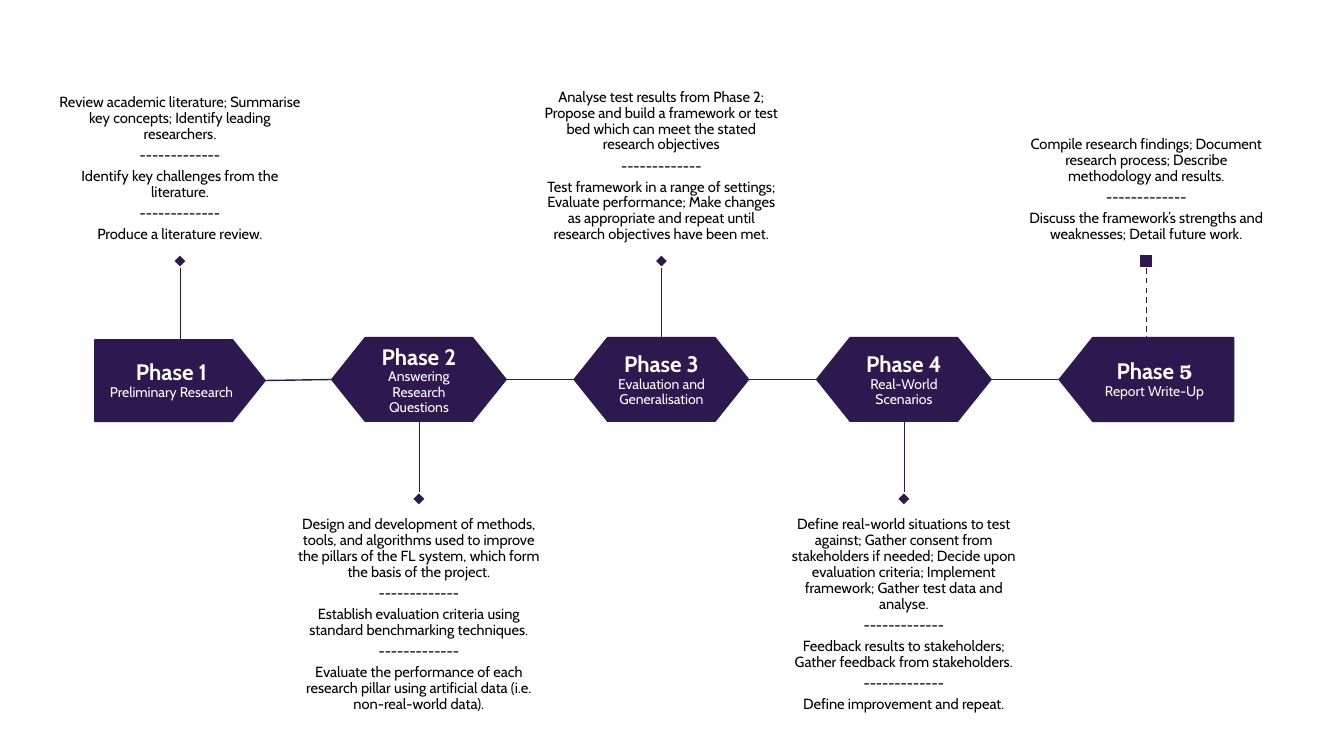
"""Build a five-phase research timeline slide."""
from dataclasses import dataclass
from itertools import pairwise

from lxml import etree
from pptx import Presentation
from pptx.dml.color import RGBColor
from pptx.enum.dml import MSO_LINE
from pptx.enum.shapes import MSO_CONNECTOR, MSO_SHAPE
from pptx.enum.text import MSO_ANCHOR, PP_ALIGN
from pptx.oxml.ns import qn
from pptx.util import Inches, Pt

STRAIGHT = MSO_CONNECTOR.STRAIGHT
DASH = MSO_LINE.DASH
PENTAGON, HEXAGON = MSO_SHAPE.PENTAGON, MSO_SHAPE.HEXAGON
DIAMOND, SQUARE = MSO_SHAPE.DIAMOND, MSO_SHAPE.RECTANGLE
TOP, MIDDLE, BOTTOM = MSO_ANCHOR.TOP, MSO_ANCHOR.MIDDLE, MSO_ANCHOR.BOTTOM
CENTER = PP_ALIGN.CENTER


@dataclass(frozen=True)
class TextStyle:
    """Look of a run of text."""
    size: float
    color: RGBColor
    bold: bool = False
    font: str = "Cabin"


@dataclass(frozen=True)
class Theme:
    """Colours and type of the slide."""
    purple: RGBColor = RGBColor(0x2D, 0x18, 0x4F)
    white: RGBColor = RGBColor(0xFF, 0xFF, 0xFF)
    title: TextStyle = TextStyle(16, white, True)
    serif_number: TextStyle = TextStyle(14, white, True, "TeX Gyre Bonum")
    subtitle: TextStyle = TextStyle(10, white)
    detail: TextStyle = TextStyle(10.5, RGBColor(0, 0, 0))
    space_after: float = 3.7
    line_spacing: float = 0.9


@dataclass(frozen=True)
class Box:
    """A rectangle in inches."""
    left: float
    top: float
    width: float
    height: float

    @property
    def right(self) -> float:
        """Return the right edge."""
        return self.left + self.width

    @property
    def bottom(self) -> float:
        """Return the bottom edge."""
        return self.top + self.height

    @property
    def center(self) -> float:
        """Return the horizontal centre."""
        return self.left + self.width / 2

    @property
    def middle(self) -> float:
        """Return the vertical centre."""
        return self.top + self.height / 2

    def lengths(self) -> tuple:
        """Return the four lengths for a shape call."""
        return tuple(map(Inches, (self.left, self.top, self.width, self.height)))


@dataclass(frozen=True)
class Phase:
    """One step of the timeline."""
    subtitle: str
    details: tuple[str, ...]
    block: Box
    label: Box
    above: bool
    block_shape: int = HEXAGON
    rotation: int = 0
    marker_shape: int = DIAMOND
    stem_width: float = 0.25
    stem_dash: int | None = None
    number_style: TextStyle = Theme.title


THEME = Theme()
SEPARATOR = "-------------"
MARKER_SIZE = 0.14
DETAIL_WIDTH, DETAIL_HEIGHT = 2.4, 2.23
UPPER_DETAIL_TOP, LOWER_DETAIL_TOP = 0.29, 5.02
UPPER_MARKER_TOP, LOWER_MARKER_TOP = 2.52, 4.88


def block_box(index: int) -> Box:
    """Place a block after the first on the regular pitch."""
    return Box(3.29 + 2.405 * (index - 1), 3.35, 1.73, 0.83)


def hexagon_label(index: int) -> Box:
    """Place the label inside a hexagon block."""
    return Box(block_box(index).left + 0.255, 3.48, 1.22, 0.59)


PHASES = (
    Phase("Preliminary Research", (
        "Review academic literature; Summarise key concepts; Identify leading researchers.",
        "Identify key challenges from the literature.",
        "Produce a literature review."),
        Box(0.94, 3.37, 1.69, 0.81), Box(0.94, 3.37, 1.52, 0.81), True, PENTAGON),
    Phase("Answering Research Questions", (
        "Design and development of methods, tools, and algorithms used to improve "
        "the pillars of the FL system, which form the basis of the project.",
        "Establish evaluation criteria using standard benchmarking techniques.",
        "Evaluate the performance of each research pillar using artificial data "
        "(i.e. non-real-world data)."),
        block_box(1), hexagon_label(1), False),
    Phase("Evaluation and Generalisation", (
        "Analyse test results from Phase 2; Propose and build a framework or test bed "
        "which can meet the stated research objectives",
        "Test framework in a range of settings; Evaluate performance; Make changes as "
        "appropriate and repeat until research objectives have been met."),
        block_box(2), hexagon_label(2), True),
    Phase("Real-World Scenarios", (
        "Define real-world situations to test against; Gather consent from stakeholders "
        "if needed; Decide upon evaluation criteria; Implement framework; "
        "Gather test data and analyse.",
        "Feedback results to stakeholders; Gather feedback from stakeholders.",
        "Define improvement and repeat."),
        block_box(3), hexagon_label(3), False),
    Phase("Report Write-Up", (
        "Compile research findings; Document research process; "
        "Describe methodology and results.",
        "Discuss the framework’s strengths and weaknesses; Detail future work."),
        block_box(4), Box(10.67, 3.35, 1.56, 0.83), True, PENTAGON, 180,
        SQUARE, 1, DASH, THEME.serif_number),
)


def style_run(run, style: TextStyle) -> None:
    """Apply a text style to a run."""
    run.font.size = Pt(style.size)
    run.font.name = style.font
    run.font.bold = style.bold
    run.font.color.rgb = style.color


def style_paragraph(paragraph) -> None:
    """Centre a paragraph and set its spacing."""
    paragraph.alignment = CENTER
    paragraph.line_spacing = THEME.line_spacing
    paragraph.space_after = Pt(THEME.space_after)


def add_text_frame(slide, box: Box, anchor: int, side: float, vertical: float):
    """Add a wrapping text box and return its frame."""
    frame = slide.shapes.add_textbox(*box.lengths()).text_frame
    frame.word_wrap = True
    frame.vertical_anchor = anchor
    frame.margin_left = frame.margin_right = Inches(side)
    frame.margin_top = frame.margin_bottom = Inches(vertical)
    return frame


def add_solid(slide, kind: int, box: Box, outline: RGBColor, width: float):
    """Add a purple shape with an outline."""
    shape = slide.shapes.add_shape(kind, *box.lengths())
    shape.shadow.inherit = False
    shape.fill.solid()
    shape.fill.fore_color.rgb = THEME.purple
    shape.line.color.rgb = outline
    shape.line.width = Pt(width)
    return shape


def add_line(slide, start: tuple[float, float], end: tuple[float, float], width: float):
    """Add a purple straight connector."""
    line = slide.shapes.add_connector(STRAIGHT, *map(Inches, (*start, *end)))
    line.line.color.rgb = THEME.purple
    line.line.width = Pt(width)
    etree.SubElement(line._element.spPr, qn("a:effectLst"))
    return line


def add_block(slide, number: int, phase: Phase) -> None:
    """Draw the block of a phase and its label."""
    block = add_solid(slide, phase.block_shape, phase.block, THEME.purple, 1)
    block.adjustments[0] = 0.4
    block.rotation = phase.rotation
    paragraph = add_text_frame(slide, phase.label, MIDDLE, 0.13, 0.13).paragraphs[0]
    style_paragraph(paragraph)
    paragraph.text = "Phase "
    paragraph.add_run().text = str(number)
    paragraph.add_line_break()
    paragraph.add_run().text = phase.subtitle
    for run, style in zip(paragraph.runs, (THEME.title, phase.number_style, THEME.subtitle)):
        style_run(run, style)
    line_break = paragraph._p.find(qn("a:br"))
    etree.SubElement(line_break, qn("a:rPr"), sz=str(THEME.title.size * 100))


def add_details(slide, phase: Phase) -> None:
    """Write the activities of a phase, parted by dashes."""
    top = UPPER_DETAIL_TOP if phase.above else LOWER_DETAIL_TOP
    box = Box(phase.block.center - DETAIL_WIDTH / 2, top, DETAIL_WIDTH, DETAIL_HEIGHT)
    frame = add_text_frame(slide, box, BOTTOM if phase.above else TOP, 0, 0.11)
    frame.text = f"\n{SEPARATOR}\n".join(phase.details)
    for paragraph in frame.paragraphs:
        style_paragraph(paragraph)
        style_run(paragraph.runs[0], THEME.detail)


def add_stem(slide, phase: Phase) -> None:
    """Draw the marker of a phase and the stem to its block."""
    center = phase.block.center
    top = UPPER_MARKER_TOP if phase.above else LOWER_MARKER_TOP
    box = Box(center - MARKER_SIZE / 2, top, MARKER_SIZE, MARKER_SIZE)
    marker = add_solid(slide, phase.marker_shape, box, THEME.white, 1.5)
    start, end = (box.bottom, phase.block.top) if phase.above else (box.top, phase.block.bottom)
    stem = add_line(slide, (center, start), (center, end), phase.stem_width)
    stem.begin_connect(marker, 2 if phase.above else 0)
    if phase.stem_dash is not None:
        stem.line.dash_style = phase.stem_dash


def main() -> None:
    """Build and save the presentation."""
    presentation = Presentation()
    presentation.slide_width, presentation.slide_height = Inches(13.33), Inches(7.5)
    slide = presentation.slides.add_slide(presentation.slide_layouts[6])
    for number, phase in enumerate(PHASES, 1):
        add_block(slide, number, phase)
        add_details(slide, phase)
        add_stem(slide, phase)
    for before, after in pairwise(phase.block for phase in PHASES):
        add_line(slide, (before.right, before.middle), (after.left, after.middle), 1)
    presentation.save("out.pptx")


if __name__ == "__main__":
    main()
